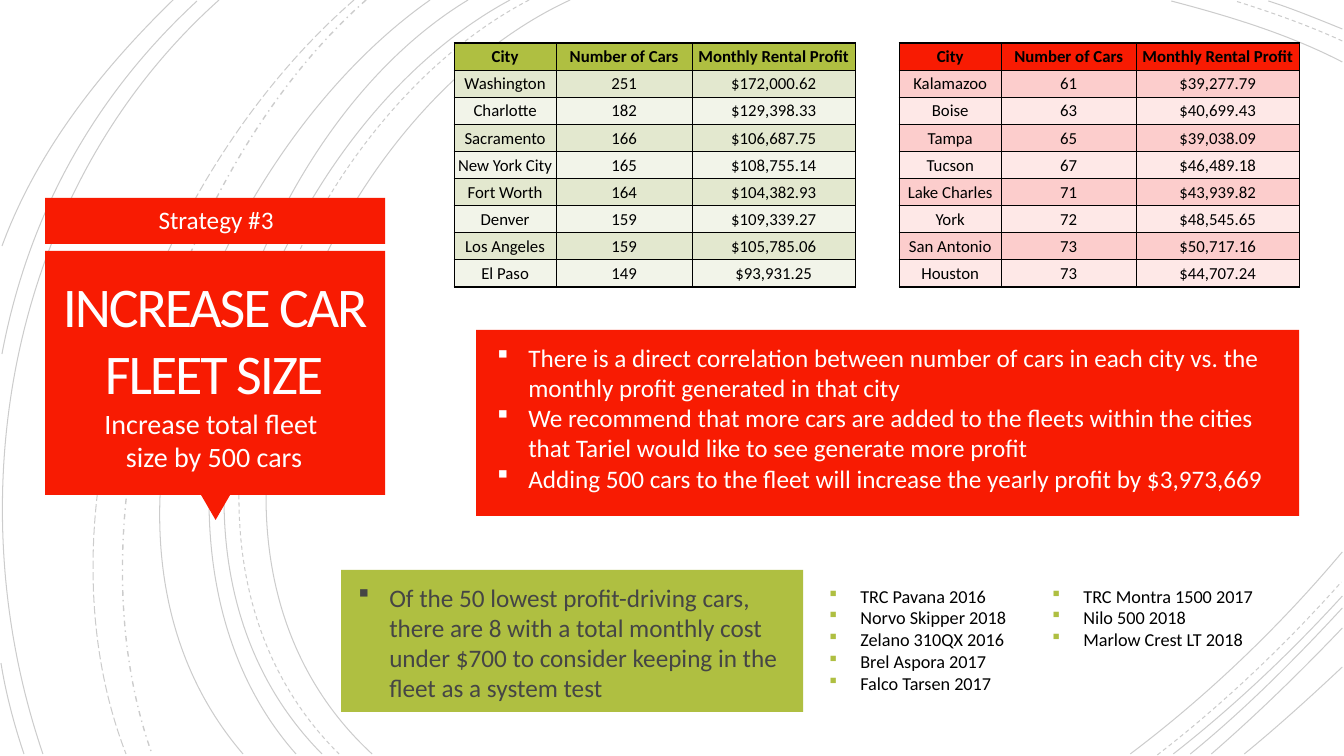
from lxml import etree
from pptx import Presentation, util as u
from pptx.dml.color import RGBColor
from pptx.enum import dml, shapes, text
from pptx.oxml.ns import qn

PX = 914400 / 100.8  # EMU per pixel
RED, GREEN = RGBColor(0xF8, 0x1B, 0x02), RGBColor(0xAF, 0xBF, 0x41)
RED_BANDS = RGBColor(0xFC, 0xCD, 0xCC), RGBColor(0xFE, 0xE8, 0xE7)
GREEN_BANDS = RGBColor(0xE3, 0xE8, 0xCF), RGBColor(0xF2, 0xF4, 0xE9)
BLACK, WHITE = RGBColor(0, 0, 0), RGBColor(255, 255, 255)
TITLE_WHITE, GREY = RGBColor(0xFF, 0xFE, 0xFF), RGBColor(0x45, 0x45, 0x45)
CENTER, MIDDLE = text.PP_ALIGN.CENTER, text.MSO_ANCHOR.MIDDLE
DASH = dml.MSO_LINE

# Content
HEADINGS = ("City", "Number of Cars", "Monthly Rental Profit")
TOP_CITIES = [
    ("Washington", "251", "$172,000.62"), ("Charlotte", "182", "$129,398.33"),
    ("Sacramento", "166", "$106,687.75"), ("New York City", "165", "$108,755.14"),
    ("Fort Worth", "164", "$104,382.93"), ("Denver", "159", "$109,339.27"),
    ("Los Angeles", "159", "$105,785.06"), ("El Paso", "149", "$93,931.25"),
]
LOW_CITIES = [
    ("Kalamazoo", "61", "$39,277.79"), ("Boise", "63", "$40,699.43"),
    ("Tampa", "65", "$39,038.09"), ("Tucson", "67", "$46,489.18"),
    ("Lake Charles", "71", "$43,939.82"), ("York", "72", "$48,545.65"),
    ("San Antonio", "73", "$50,717.16"), ("Houston", "73", "$44,707.24"),
]
# left, column widths, heading fill, band fills, rows
TABLES = [
    (454, (102, 136, 163), GREEN, GREEN_BANDS, TOP_CITIES),
    (899, (102, 135, 163), RED, RED_BANDS, LOW_CITIES),
]
TABLE_TOP, TABLE_HEIGHT = 43, 244

# text, size, letter spacing in hundredths of a point
TITLE = [
    ("INCREASE CAR FLEET SIZE\v", 40, -150),
    ("I", 20, -150),
    ("ncrease total fleet \vsize by 500 cars", 20, 0),
]
# place, size, text colour, bullet colour, lines
LISTS = [
    ((487, 337, 812, 163), 18, WHITE, WHITE, [
        "There is a direct correlation between number of cars in each city vs. the "
        "monthly profit generated in that city",
        "We recommend that more cars are added to the fleets within the cities "
        "that Tariel would like to see generate more profit",
        "Adding 500 cars to the fleet will increase the yearly profit by $3,973,669"]),
    ((348, 577, 455, 132), 18, GREY, GREY, [
        "Of the 50 lowest profit-driving cars, there are 8 with a total monthly cost "
        "under $700 to consider keeping in the fleet as a system test"]),
    ((819, 580, 223, 120), 13, BLACK, GREEN, [
        "TRC Pavana 2016", "Norvo Skipper 2018", "Zelano 310QX 2016",
        "Brel Aspora 2017", "Falco Tarsen 2017"]),
    ((1042, 580, 223, 77), 13, BLACK, GREEN, [
        "TRC Montra 1500 2017", "Nilo 500 2018", "Marlow Crest LT 2018"]),
]
BLOCKS = [
    ("RECTANGLE", (45, 198, 340, 46), RED, 0),
    ("ISOSCELES_TRIANGLE", (201, 495, 29, 25), RED, 180),
    ("RECTANGLE", (45, 251, 340, 244), RED, 0),
    ("RECTANGLE", (476, 330, 823, 186), RED, 0),
    ("RECTANGLE", (341, 570, 462, 142), GREEN, 0),
]

# Background arcs: four Bezier points each, grouped by dash and width
ARCS = {
    (DASH.SOLID, 0.75): [
        ((570, 0), (318, 116), (144, 544), (372, 754)),
        ((510, 0), (272, 128), (111, 541), (322, 754)),
        ((468, 0), (246, 134), (111, 545), (296, 754)),
        ((430, 0), (219, 148), (53, 533), (243, 754)),
        ((219, 0), (11, 186), (-46, 494), (43, 754)),
        ((197, 1), (93, 97), (28, 216), (2, 354)),
        ((173, 0), (101, 70), (37, 151), (2, 246)),
        ((1, 663), (6, 694), (14, 724), (24, 754)),
        ((1342, 62), (1288, 34), (1228, 16), (1171, 1)),
        ((1342, 29), (1317, 19), (1293, 9), (1268, 1)),
        ((1130, 754), (1207, 696), (1279, 627), (1342, 552)),
        ((1173, 754), (1233, 707), (1290, 653), (1342, 596)),
        ((1190, 754), (1244, 710), (1294, 660), (1342, 608)),
        ((1211, 754), (1256, 715), (1300, 672), (1342, 628)),
        ((1244, 754), (1277, 727), (1309, 698), (1342, 667))],
    (DASH.DASH, 0.75): [
        ((529, 0), (287, 126), (124, 541), (339, 754)),
        ((1342, 41), (1307, 25), (1270, 12), (1235, 1)),
        ((1157, 755), (1223, 704), (1285, 645), (1341, 582))],
    (DASH.DASH_DOT, 1): [((366, 0), (177, 167), (66, 513), (152, 754))],
    (DASH.LONG_DASH, 0.75): [((354, 0), (158, 170), (29, 503), (126, 754))],
}

deck = Presentation()
deck.slide_width, deck.slide_height = u.Inches(13.33), u.Inches(7.5)
page = deck.slides.add_slide(deck.slide_layouts[6])


def emu(lengths):
    return [round(length * PX) for length in lengths]


def assign(target, **values):
    for name, value in values.items():
        setattr(target, name, value)


def add_span(para, words, size, color, bold=False):
    span = para.add_run()
    span.text = words
    assign(span.font, name="Calibri", size=u.Pt(size), bold=bold)
    span.font.color.rgb = color
    return span


def add_box(place, **values):
    frame = page.shapes.add_textbox(*emu(place)).text_frame
    assign(frame, word_wrap=True, **values)
    return frame


def add_arc(points):
    builder = page.shapes.build_freeform(*points[0], scale=PX)
    builder.add_line_segments(points[1:], close=False)
    arc = builder.convert_to_shape()
    # One cubic curve takes the place of the three straight segments
    segments = list(arc._element.iter(qn("a:lnTo")))
    curve = etree.SubElement(segments[0].getparent(), qn("a:cubicBezTo"))
    for segment in segments:
        curve.append(segment[0])
        segment.getparent().remove(segment)
    return arc


def add_bullet(para, color):
    properties = para._p.get_or_add_pPr()
    indent = round(u.Inches(0.31))
    properties.set("marL", str(indent))
    properties.set("indent", str(-indent))
    bullet_color = etree.SubElement(properties, qn("a:buClr"))
    etree.SubElement(bullet_color, qn("a:srgbClr"), val=str(color))
    etree.SubElement(properties, qn("a:buFont"), typeface="Wingdings", charset="2")
    etree.SubElement(properties, qn("a:buChar"), char="§")


def add_borders(cell):
    properties = cell._tc.get_or_add_tcPr()
    for side in ("lnL", "lnR", "lnT", "lnB"):
        border = etree.SubElement(properties, qn("a:" + side), w=str(u.Pt(1)))
        fill = etree.SubElement(border, qn("a:solidFill"))
        etree.SubElement(fill, qn("a:srgbClr"), val=str(BLACK))


# Background arcs
for (dash, width), arcs in ARCS.items():
    for points in arcs:
        arc = add_arc(points)
        arc.shadow.inherit = False
        arc.fill.background()
        arc.line.color.rgb = BLACK
        assign(arc.line, width=u.Pt(width), dash_style=dash)
        ink = arc.line._ln.find(".//" + qn("a:srgbClr"))
        etree.SubElement(ink, qn("a:alpha"), val="20000")

# Coloured blocks
for kind, place, color, rotation in BLOCKS:
    block = page.shapes.add_shape(shapes.MSO_SHAPE[kind], *emu(place))
    block.shadow.inherit = False
    block.rotation = rotation
    block.fill.solid()
    block.fill.fore_color.rgb = color
    block.line.fill.background()

# Strategy label and title
label = add_box((23, 199, 386, 40)).paragraphs[0]
label.alignment = CENTER
add_span(label, "Strategy #3", 18, WHITE)

inset = u.Inches(0.1)
title = add_box((45, 251, 338, 243), vertical_anchor=MIDDLE,
                margin_top=inset, margin_bottom=inset).paragraphs[0]
title.alignment = CENTER
for words, size, spacing in TITLE:
    for index, part in enumerate(words.split("\v")):
        if index:
            title.add_line_break()
        if part:
            span = add_span(title, part, size, TITLE_WHITE)
            span.font._element.set("spc", str(spacing))

# City tables
for left, widths, heading_fill, bands, cities in TABLES:
    rows = [HEADINGS, *cities]
    place = emu((left, TABLE_TOP, sum(widths), TABLE_HEIGHT))
    table = page.shapes.add_table(len(rows), len(widths), *place).table
    for column, width in zip(table.columns, emu(widths)):
        column.width = width
    for r, values in enumerate(rows):
        table.rows[r].height = round(TABLE_HEIGHT * PX / len(rows))
        for c, value in enumerate(values):
            cell = table.cell(r, c)
            side = round(PX)
            assign(cell, vertical_anchor=MIDDLE, margin_left=side, margin_right=side,
                   margin_top=side, margin_bottom=0)
            add_borders(cell)
            cell.fill.solid()
            cell.fill.fore_color.rgb = bands[(r - 1) % 2] if r else heading_fill
            para = cell.text_frame.paragraphs[0]
            para.alignment = CENTER
            add_span(para, value, 12, BLACK, bold=r == 0)

# Bulleted lists
for place, size, color, bullet_color, lines in LISTS:
    frame = add_box(place, auto_size=text.MSO_AUTO_SIZE.SHAPE_TO_FIT_TEXT)
    for index, line in enumerate(lines):
        para = frame.add_paragraph() if index else frame.paragraphs[0]
        add_bullet(para, bullet_color)
        add_span(para, line, size, color)

deck.save("out.pptx")
